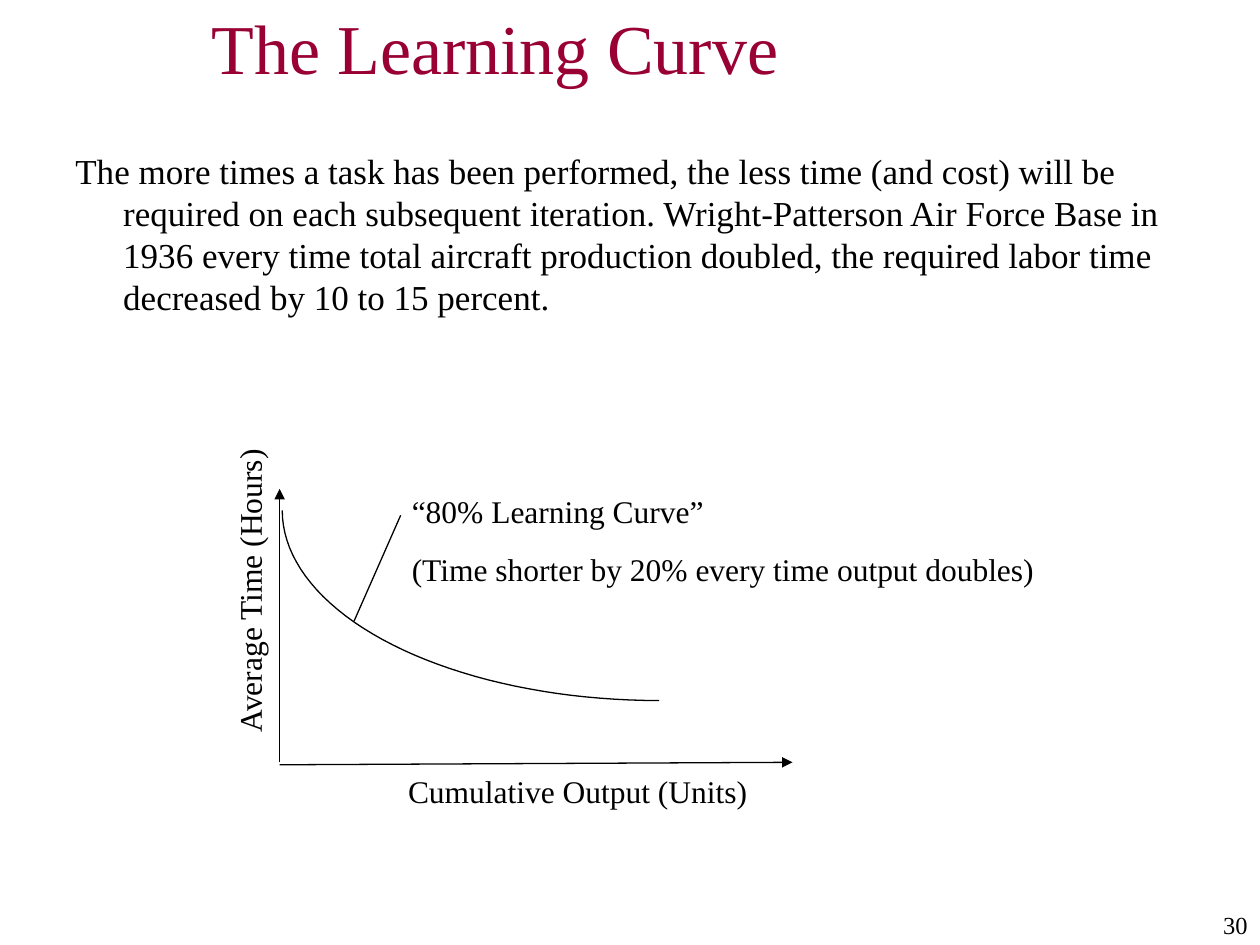
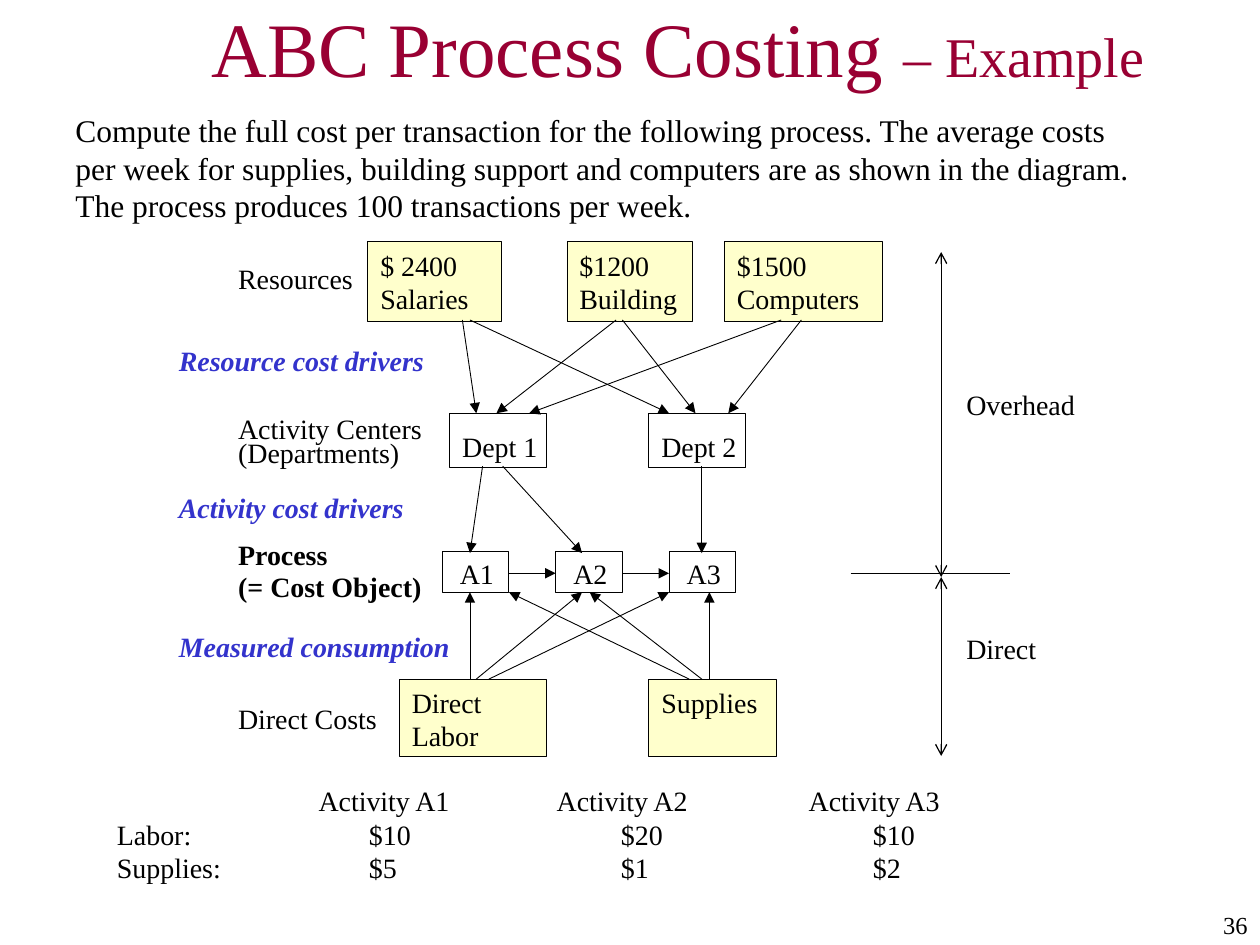
from math import cos, pi, sin

from lxml import etree
from pptx import Presentation
from pptx.dml.color import RGBColor
from pptx.enum.shapes import MSO_CONNECTOR, MSO_SHAPE
from pptx.enum.text import MSO_ANCHOR, PP_ALIGN
from pptx.oxml.ns import qn
from pptx.util import Inches, Pt

COLORS = {"text": "000000", "title": "990033", "driver": "3333CC", "cost": "FFFFCC"}
FONT = "Times New Roman"
PADDING = (0.1, 0.05)


def rgb(name):
    return RGBColor.from_string(COLORS[name])


def format_run(r, size, color="text", bold=False, italic=False):
    r.font.name = FONT
    r.font.size = Pt(size)
    r.font.color.rgb = rgb(color)
    r.font.bold = bold
    r.font.italic = italic


def fill_text(sp, text, size, inset=PADDING, gap=0, align=PP_ALIGN.LEFT, **style):
    """Write one paragraph per line of text, with gap points between them."""
    tf = sp.text_frame
    tf.word_wrap = True
    tf.margin_left = tf.margin_right = Inches(inset[0])
    tf.margin_top = tf.margin_bottom = Inches(inset[1])
    tf.vertical_anchor = MSO_ANCHOR.TOP
    tf.text = text
    for i, p in enumerate(tf.paragraphs):
        p.alignment = align
        if i:
            p.space_before = Pt(gap)
        for r in p.runs:
            format_run(r, size, **style)


def add_text(s, box, text, size, **options):
    sp = s.shapes.add_textbox(*map(Inches, box))
    fill_text(sp, text, size, **options)
    return sp


def add_label(s, x, y, text, **style):
    """Single line of diagram text placed at its exact corner."""
    sp = add_text(s, (x, y, 2.2, 0.27), text, 16, inset=(0, 0), **style)
    sp.text_frame.word_wrap = False


def add_node(s, box, text, fill=None, inset=PADDING):
    sp = s.shapes.add_shape(MSO_SHAPE.RECTANGLE, *map(Inches, box))
    sp.shadow.inherit = False
    if fill:
        sp.fill.solid()
        sp.fill.fore_color.rgb = rgb(fill)
    else:
        sp.fill.background()
    sp.line.color.rgb = rgb("text")
    sp.line.width = Pt(0.5)
    fill_text(sp, text, 16, inset=inset)
    sp.text_frame.margin_right = 0


def add_line(s, start, end, width=0.5, head=None, tail=None):
    sp = s.shapes.add_connector(MSO_CONNECTOR.STRAIGHT, *map(Inches, start + end))
    sp.line.color.rgb = rgb("text")
    sp.line.width = Pt(width)
    spPr = sp.element.spPr
    ln = spPr.find(qn("a:ln"))
    for tag, kind in (("a:headEnd", head), ("a:tailEnd", tail)):
        if kind:
            etree.SubElement(ln, qn(tag)).set("type", kind)
    etree.SubElement(spPr, qn("a:effectLst"))


def set_tabs(p, stops):
    tabs = etree.SubElement(p._p.get_or_add_pPr(), qn("a:tabLst"))
    for stop in stops:
        tab = etree.SubElement(tabs, qn("a:tab"))
        tab.set("pos", str(Inches(stop)))
        tab.set("algn", "l")


def add_slide(prs, title_runs, number):
    """Blank slide with the shared title and page number."""
    s = prs.slides.add_slide(prs.slide_layouts[6])
    add_text(s, (8.58, 7.17, 1.42, 0.33), number, 14, align=PP_ALIGN.RIGHT)
    tf = s.shapes.add_textbox(*map(Inches, (1.58, 0.08, 8.42, 0.58))).text_frame
    tf.word_wrap = True
    tf.vertical_anchor = MSO_ANCHOR.MIDDLE
    for text, size in title_runs:
        r = tf.paragraphs[0].add_run()
        r.text = text
        format_run(r, size, "title")
    return s


def add_learning_curve(s):
    """Quarter ellipse falling from the time axis and flattening out."""
    right, top, width, height = 5.23, 4.05, 2.99, 1.51
    steps = 40
    points = []
    for i in range(steps + 1):
        t = pi / 2 * i / steps
        points.append((Inches(right - width * cos(t)), Inches(top + height * sin(t))))
    builder = s.shapes.build_freeform(*points[0])
    builder.add_line_segments(points[1:], close=False)
    sp = builder.convert_to_shape()
    sp.shadow.inherit = False
    sp.fill.background()
    sp.line.color.rgb = rgb("text")
    sp.line.width = Pt(0.75)


def build_learning_slide(prs):
    s = add_slide(prs, [("The Learning Curve", 40)], "30")
    sp = add_text(
        s, (0.5, 1.14, 9, 2.32),
        "The more times a task has been performed, the less time (and cost) will be "
        "required on each subsequent iteration. Wright-Patterson Air Force Base in 1936 "
        "every time total aircraft production doubled, the required labor time "
        "decreased by 10 to 15 percent.", 20)
    pPr = sp.text_frame.paragraphs[0]._p.get_or_add_pPr()
    pPr.set("marL", str(Inches(0.38)))
    pPr.set("indent", str(Inches(-0.38)))

    # Axes and their names
    sp = add_text(s, (0.5, 4.23, 2.96, 0.4), "Average Time (Hours)", 18)
    sp.rotation = 270
    add_text(s, (3.14, 6.08, 3.03, 0.4), "Cumulative Output (Units)", 18)
    add_line(s, (2.22, 6.05), (2.22, 3.88), 0.75, tail="triangle")
    add_line(s, (2.22, 6.07), (6.29, 6.05), 0.75, tail="triangle")

    # Curve with its callout
    add_learning_curve(s)
    add_line(s, (3.18, 4.09), (2.81, 4.93), 0.75)
    add_text(s, (3.17, 3.86, 5.26, 0.86),
             "“80% Learning Curve”\n(Time shorter by 20% every time output doubles)",
             18, gap=11.2)


def build_costing_slide(prs):
    s = add_slide(prs, [("ABC Process Costing ", 44), ("– Example", 32)], "36")
    add_text(
        s, (0.5, 0.83, 8.75, 1),
        "Compute the full cost per transaction for the following process. The average "
        "costs per week for supplies, building support and computers are as shown in the "
        "diagram. The process produces 100 transactions per week.", 18)

    # Resources and direct costs
    for x, width, text in ((2.92, 1.06, "$ 2400\nSalaries"), (4.5, 1, "$1200\nBuilding"),
                           (5.75, 1.25, "$1500\nComputers")):
        add_node(s, (x, 1.92, width, 0.63), text, "cost")
    for x, width, text in ((3.17, 1.17, "Direct Labor"), (5.15, 1.01, "Supplies")):
        add_node(s, (x, 5.39, width, 0.61), text, "cost")

    # Departments and activities
    for x, text in ((3.57, "Dept 1"), (5.15, "Dept 2")):
        add_node(s, (x, 3.28, 0.77, 0.43), text, inset=(0.1, 0.13))
    for i in range(3):
        x = 3.51 + 0.9 * i
        add_node(s, (x, 4.38, 0.53, 0.32), f"A{i + 1}", inset=(0.14, 0.04))
        if i:
            add_line(s, (x - 0.37, 4.55), (x, 4.55), tail="triangle")

    # Flows between levels: (top y, bottom y, [(from x, to x)])
    flows = (
        (2.54, 3.28, [(3.67, 3.78), (3.73, 5.31), (4.89, 3.94), (4.94, 5.52),
                      (6.2, 4.2), (6.36, 5.78)]),
        (3.7, 4.39, [(3.83, 3.73), (3.99, 4.62), (5.57, 5.57)]),
        (5.39, 4.7, [(3.73, 3.73), (3.78, 4.62), (3.88, 5.31), (5.47, 4.04),
                     (5.57, 4.68), (5.63, 5.63)]),
    )
    for y1, y2, pairs in flows:
        for x1, x2 in pairs:
            add_line(s, (x1, y1), (x2, y2), tail="triangle")

    # Level names and cost drivers
    for y, text in ((2.08, "Resources"), (3.27, "Activity Centers"),
                    (3.46, "(Departments)"), (5.57, "Direct Costs")):
        add_label(s, 1.89, y, text)
    for y, text in ((4.27, "Process"), (4.52, "(= Cost Object)")):
        add_label(s, 1.89, y, text, bold=True)
    for y, text in ((2.73, "Resource cost drivers"), (3.89, "Activity cost drivers"),
                    (5, "Measured consumption")):
        add_label(s, 1.42, y, text, color="driver", bold=True, italic=True)

    # Overhead and direct ranges
    add_line(s, (6.75, 4.55), (8.02, 4.55))
    for top, bottom, y, text in ((2, 4.58, 3.08, "Overhead"), (4.58, 6, 5.01, "Direct")):
        add_line(s, (7.47, top), (7.47, bottom), 0.75, head="arrow", tail="arrow")
        add_label(s, 7.67, y, text)

    # Consumption per activity
    sp = add_text(s, (0.83, 6.17, 8.17, 0.9),
                  "\tActivity A1\tActivity A2\tActivity A3\n"
                  "Labor:\t$10\t$20\t$10\n"
                  "Supplies:\t$5\t$1\t$2", 16)
    header, *rows = sp.text_frame.paragraphs
    set_tabs(header, (1.6, 3.49, 5.49))
    for p in rows:
        set_tabs(p, (2, 4, 6))


def main():
    prs = Presentation()
    prs.slide_width = Inches(10)
    prs.slide_height = Inches(7.5)
    build_learning_slide(prs)
    build_costing_slide(prs)
    prs.save("out.pptx")


if __name__ == "__main__":
    main()
